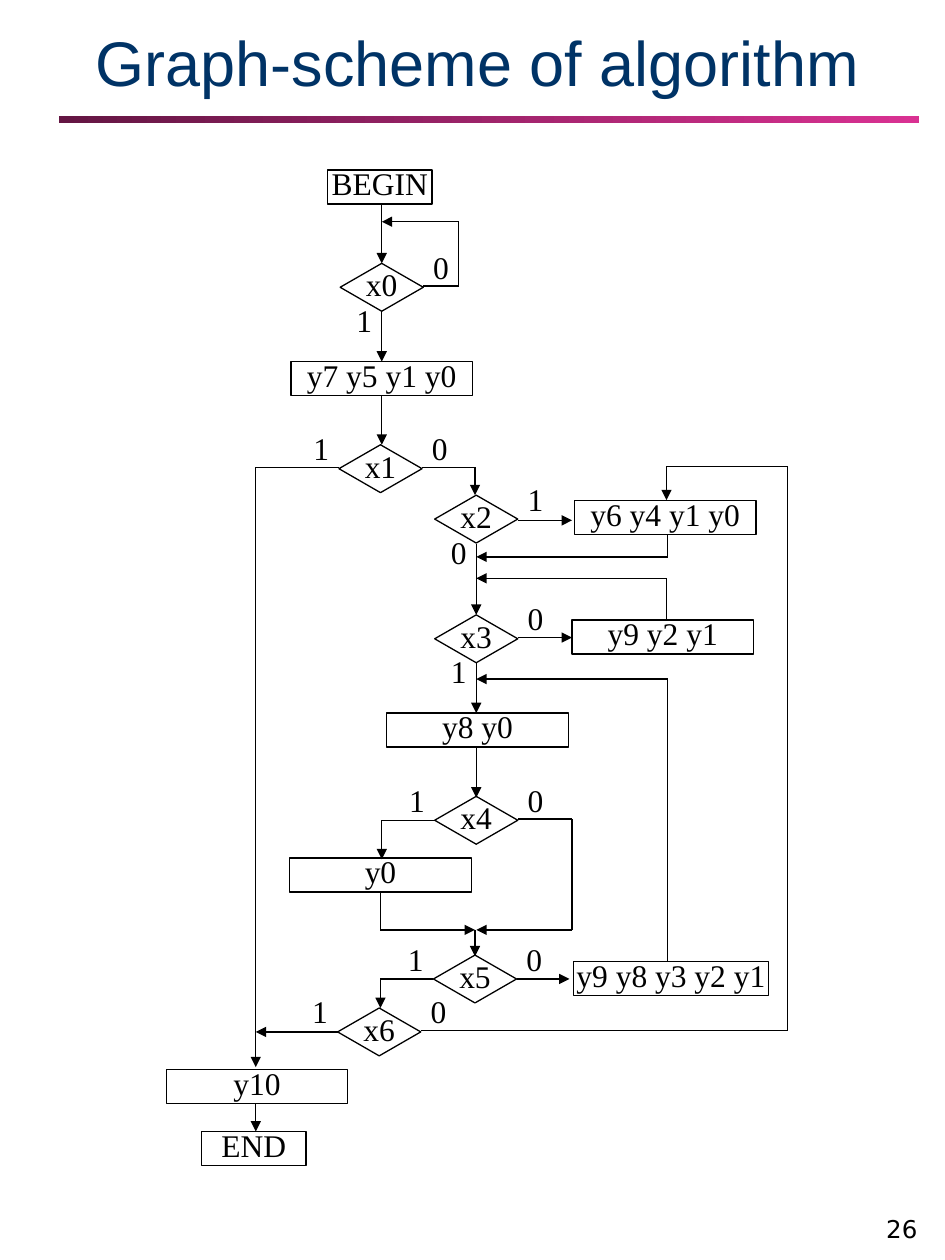
from dataclasses import dataclass
from itertools import pairwise

from lxml.etree import SubElement
from pptx import Presentation
from pptx.dml.color import RGBColor
from pptx.enum.shapes import MSO_CONNECTOR as Connector, MSO_SHAPE as Preset
from pptx.enum.text import MSO_ANCHOR as Anchor, MSO_AUTO_SIZE as AutoSize, PP_ALIGN as Align
from pptx.oxml.ns import qn
from pptx.util import Pt

SCALE = 9144


@dataclass(frozen=True)
class Theme:
    ink: str = "000000"
    title: str = "003366"
    bar: tuple = ("641643", "D93192")
    title_font: str = "Arial"
    flow_font: str = "Times New Roman"
    number_font: str = "DejaVu Sans"
    title_size: int = 36
    flow_size: int = 18
    number_size: int = 14
    line: float = 0.75
    node_spacing: float = 0.78
    label_spacing: float = 0.68


@dataclass(frozen=True)
class Box:
    left: int
    top: int
    width: int
    height: int

    def inside(self, left, top, width, height):
        return Box(self.left + left, self.top + top, width, height)

    def emu(self):
        return [n * SCALE for n in (self.left, self.top, self.width, self.height)]


THEME = Theme()
NODE_HEIGHT = 27
DIAMOND = (66, 38)
CAPTION = (40, 27)
LABEL = (28, 21)

STEPS = [
    ("BEGIN", 160, 35, 83),
    ("y7 y5 y1 y0", 131, 187, 144),
    ("y6 y4 y1 y0", 356, 297, 144),
    ("y9 y2 y1", 354, 392, 144),
    ("y8 y0", 207, 466, 144),
    ("y0", 130, 581, 144),
    ("y9 y8 y3 y2 y1", 355, 663, 155),
    ("y10", 32, 749, 144),
    ("END", 60, 798, 83),
]

DECISIONS = [
    ("x0", 170, 109, {"right": "0", "below": "1"}),
    ("x1", 169, 253, {"right": "0", "left": "1"}),
    ("x2", 245, 293, {"right": "1", "below": "0"}),
    ("x3", 245, 388, {"right": "0", "below": "1"}),
    ("x4", 245, 532, {"right": "0", "left": "1"}),
    ("x5", 244, 658, {"right": "0", "left": "1"}),
    ("x6", 168, 800 - 100, {"right": "0", "left": "1"}),
]

ROUTES = [
    [(203, 62), (203, 109)],
    [(236, 127), (264, 127), (264, 76), (203, 76)],
    [(203, 147), (203, 187)],
    [(203, 214), (203, 253)],
    [(235, 271), (277, 271), (277, 293)],
    [(169, 271), (103, 271), (103, 747)],
    [(311, 313), (354, 313)],
    [(430, 324), (430, 342), (278, 342)],
    [(278, 332), (278, 388)],
    [(311, 406), (354, 406)],
    [(429, 392), (429, 359), (278, 359)],
    [(278, 426), (278, 466)],
    [(278, 493), (278, 533)],
    [(245, 551), (203, 551), (203, 582)],
    [(311, 550), (354, 550), (354, 638), (278, 638)],
    [(202, 608), (202, 638), (277, 638)],
    [(277, 638), (277, 659)],
    [(310, 677), (352, 677)],
    [(244, 677), (202, 677), (202, 700)],
    [(430, 663), (430, 439), (278, 439)],
    [(168, 719), (103, 719)],
    [(234, 718), (525, 718), (525, 270), (429, 270), (429, 297)],
    [(103, 776), (103, 798)],
]


def write(shape, text, font, size, color, align=Align.CENTER, anchor=Anchor.MIDDLE,
          margins=(0, 0), spacing=None):
    frame = shape.text_frame
    frame.text = text
    frame.word_wrap = True
    frame.auto_size = AutoSize.NONE
    frame.vertical_anchor = anchor
    frame.margin_left = frame.margin_right = margins[0] * SCALE
    frame.margin_top = frame.margin_bottom = margins[1] * SCALE
    para = frame.paragraphs[0]
    para.alignment = align
    para.line_spacing = spacing
    para.font.name = font
    para.font.size = Pt(size)
    para.font.color.rgb = RGBColor.from_string(color)


def write_flow(shape, text, spacing):
    write(shape, text, THEME.flow_font, THEME.flow_size, THEME.ink, spacing=spacing)


def add_text(page, box, text, spacing):
    write_flow(page.shapes.add_textbox(*box.emu()), text, spacing)


def add_outline(page, preset, box):
    shape = page.shapes.add_shape(preset, *box.emu())
    shape.shadow.inherit = False
    shape.fill.background()
    shape.line.color.rgb = RGBColor.from_string(THEME.ink)
    shape.line.width = Pt(THEME.line)
    return shape


def add_decision(page, box, name, exits):
    add_outline(page, Preset.DIAMOND, box)
    width, height = CAPTION
    caption = box.inside((box.width - width) // 2, (box.height - height + 1) // 2, width, height)
    add_text(page, caption, name, THEME.node_spacing)
    places = {
        "right": (box.width, -4),
        "left": (-LABEL[0], -4),
        "below": (box.width // 2 - LABEL[0], box.height),
    }
    for side, value in exits.items():
        add_text(page, box.inside(*places[side], *LABEL), value, THEME.label_spacing)


def add_route(page, box, points):
    corners = [((box.left + x) * SCALE, (box.top + y) * SCALE) for x, y in points]
    for start, end in pairwise(corners):
        line = page.shapes.add_connector(Connector.STRAIGHT, *start, *end)
        line.line.color.rgb = RGBColor.from_string(THEME.ink)
        line.line.width = Pt(THEME.line)
        SubElement(line._element.spPr, qn("a:effectLst"))
    SubElement(line.line._get_or_add_ln(), qn("a:tailEnd"), type="triangle")


def add_flowchart(page, box):
    for text, left, top, width in STEPS:
        step = add_outline(page, Preset.RECTANGLE, box.inside(left, top, width, NODE_HEIGHT))
        write_flow(step, text, THEME.node_spacing)
    for name, left, top, exits in DECISIONS:
        add_decision(page, box.inside(left, top, *DIAMOND), name, exits)
    for points in ROUTES:
        add_route(page, box, points)


def add_header(page, box):
    bar = page.shapes.add_shape(Preset.RECTANGLE, *box.inside(14, 78, 682, 6).emu())
    bar.shadow.inherit = False
    bar.line.fill.background()
    bar.fill.gradient()
    bar.fill.gradient_angle = 0
    for stop, color in zip(bar.fill.gradient_stops, THEME.bar):
        stop.color.rgb = RGBColor.from_string(color)
    title = page.shapes.title
    title.left, title.top, title.width, title.height = box.inside(0, 0, box.width, 70).emu()
    write(title, "Graph-scheme of algorithm", THEME.title_font, THEME.title_size, THEME.title,
          anchor=Anchor.BOTTOM, margins=(10, 5))


def add_page_number(page, box):
    write(page.shapes.add_textbox(*box.emu()), "26", THEME.number_font, THEME.number_size,
          THEME.ink, Align.RIGHT, Anchor.BOTTOM, (10, 5))


def main():
    deck = Presentation()
    deck.slide_width, deck.slide_height = 750 * SCALE, 1000 * SCALE
    page = deck.slides.add_slide(deck.slide_layouts.get_by_name("Title Only"))
    add_header(page, Box(33, 14, 692, 84))
    add_flowchart(page, Box(100, 100, 550, 850))
    add_page_number(page, Box(646, 949, 92, 43))
    deck.save("out.pptx")


if __name__ == "__main__":
    main()
